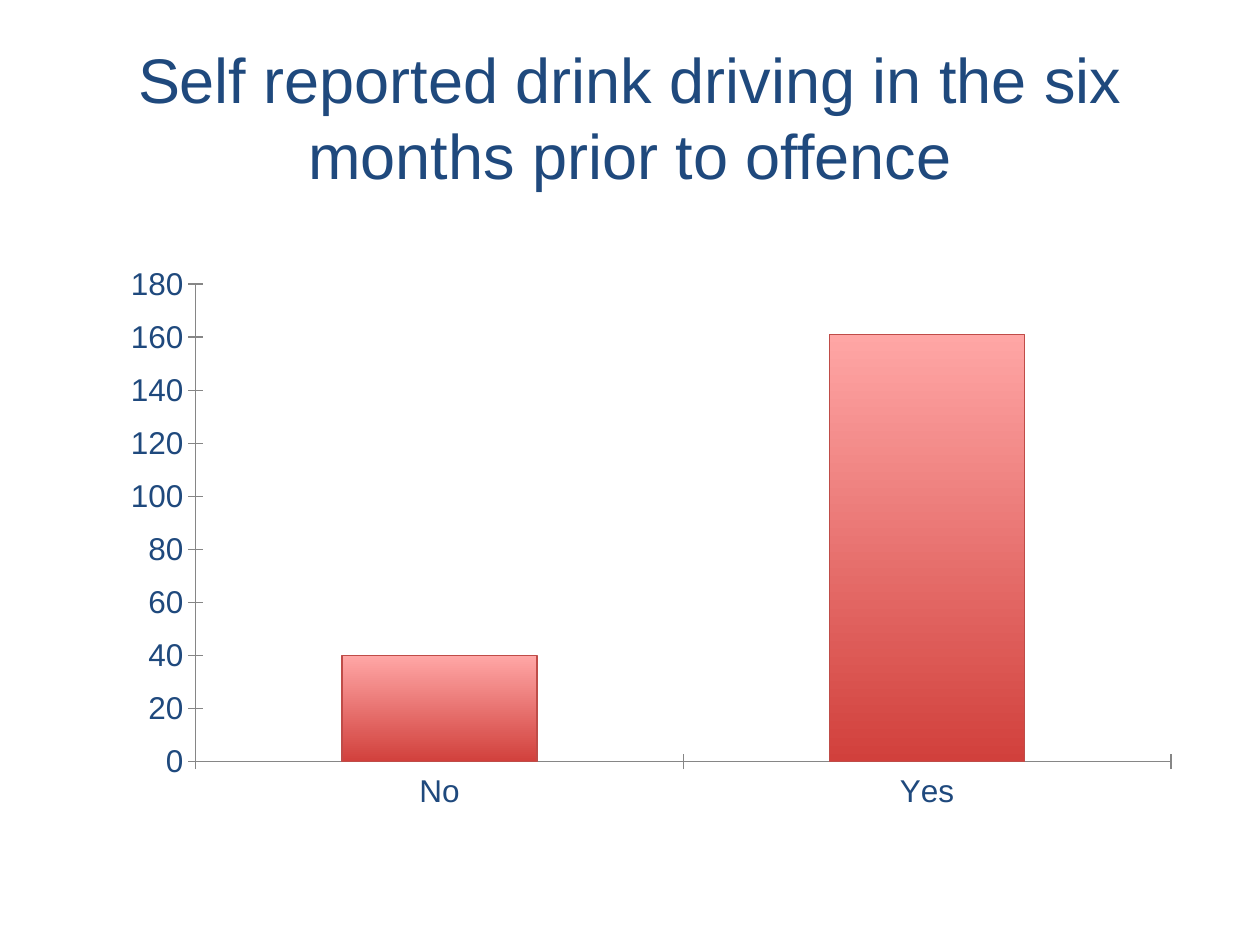
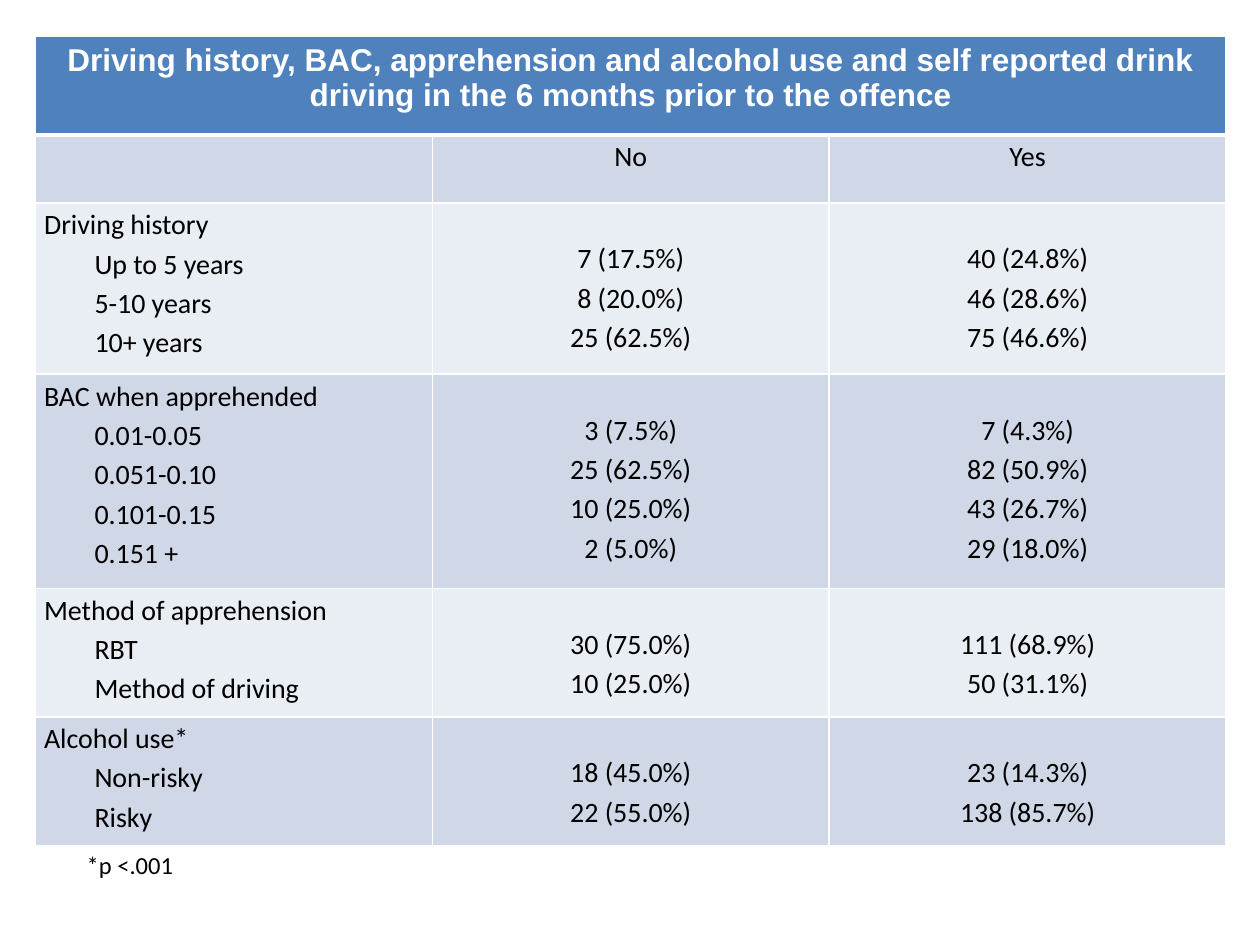
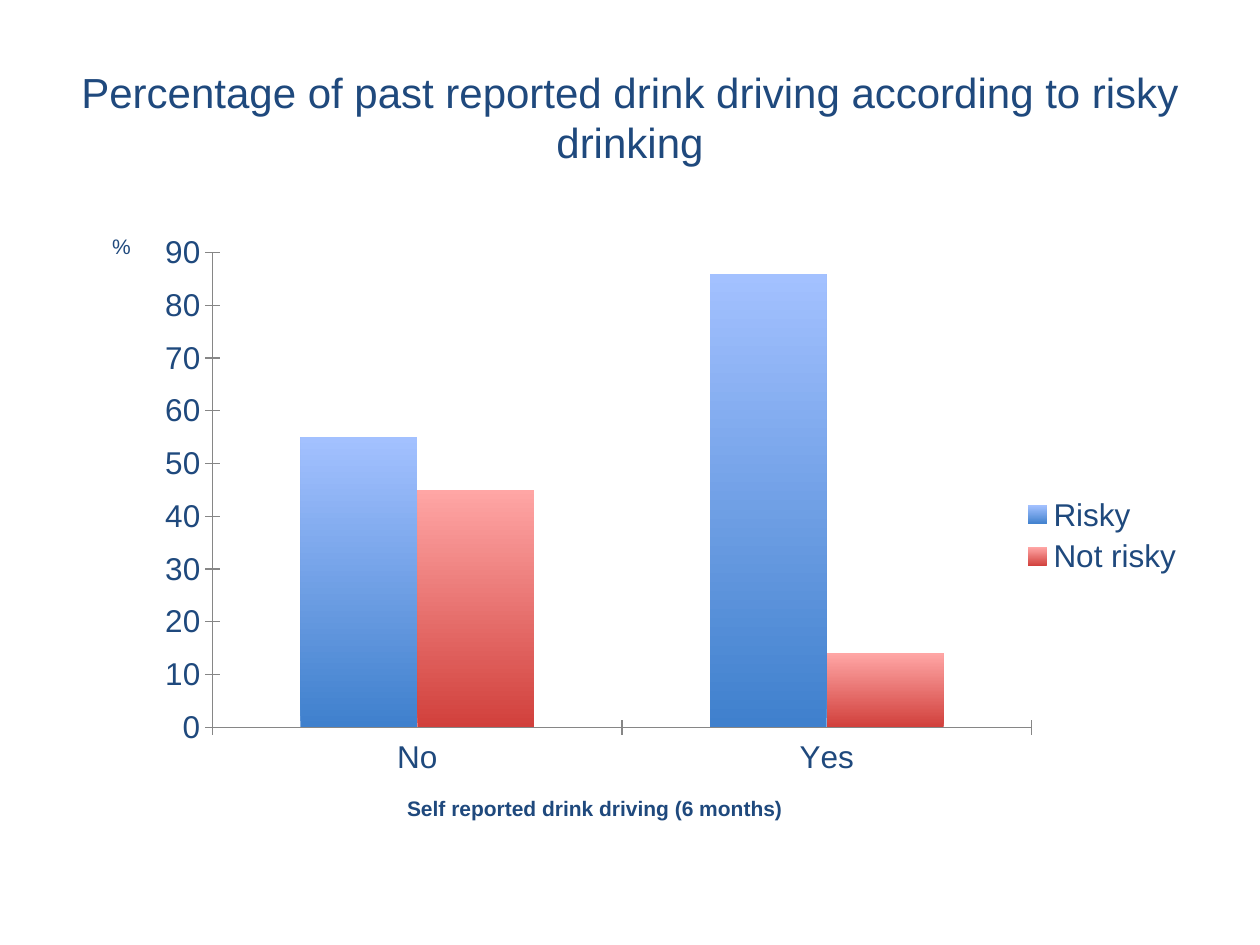
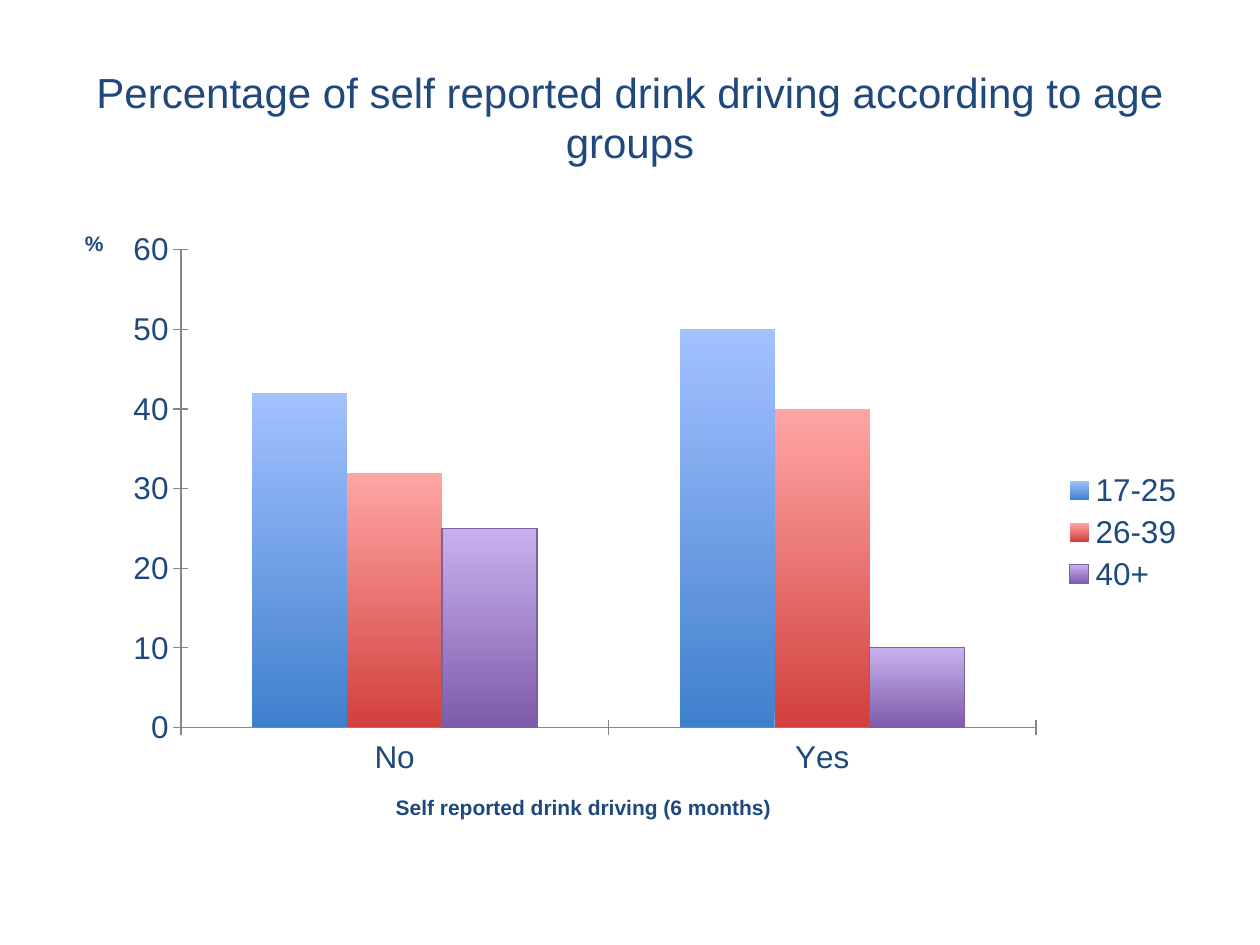
from dataclasses import dataclass

from lxml.etree import SubElement
from pptx import Presentation
from pptx.chart.data import CategoryChartData
from pptx.dml.color import RGBColor as RGB
from pptx.enum.chart import XL_CHART_TYPE as ChartType
from pptx.enum.chart import XL_LEGEND_POSITION as LegendPos
from pptx.enum.chart import XL_TICK_MARK as Tick
from pptx.enum.text import MSO_ANCHOR as Anchor
from pptx.enum.text import PP_ALIGN as Align
from pptx.oxml.ns import qn
from pptx.util import Pt

# ---- Content ----
ANSWERS = ["No", "Yes"]
HISTORY_AXIS = "Self reported drink driving (6 months)"

# Series: name, values, gradient name, outlined.
# Layout values are fractions of the chart: plot is x, y, w, h; titles are x, y.
OFFENCE = dict(
    title="Self reported drink driving in the six months prior to offence",
    title_size=36, top=126, number_format="###0", maximum=180, step=20,
    series=[("Series 1", (40, 161), "red", True)],
    plot=(0.117, 0.102, 0.86, 0.766),
)
RISK = dict(
    title="Percentage of past reported drink driving according to risky drinking",
    title_size=24, top=128, number_format="General", maximum=90, step=10,
    series=[("Risky", (55, 86), "blue", False),
            ("Not risky", (45, 14), "red", False)],
    plot=(0.132, 0.046, 0.722, 0.761),
    axis_titles=dict(category=(HISTORY_AXIS, True, (0.3, 0.91)),
                     value=("%", False, (0.04, 0.01))),
)
AGE = dict(
    title="Percentage of self reported drink driving according to age groups",
    title_size=24, top=126, number_format="General", maximum=60, step=10,
    series=[("17-25", (42, 50), "blue", False),
            ("26-39", (32, 40), "red", False),
            ("40+", (25, 10), "purple", True)],
    plot=(0.104, 0.047, 0.754, 0.766),
    axis_titles=dict(category=(HISTORY_AXIS, True, (0.29, 0.915)),
                     value=("%", True, (0.016, 0.01))),
)

TABLE_TITLE = ("Driving history, BAC, apprehension and alcohol use and self "
               "reported drink driving in the 6 months prior to the offence")
FOOTNOTE = "*p <.001"
GROUPS = [
    ("Driving history", [
        ("Up to 5 years", "7 (17.5%)", "40 (24.8%)"),
        ("5-10 years", "8 (20.0%)", "46 (28.6%)"),
        ("10+ years", "25 (62.5%)", "75 (46.6%)")]),
    ("BAC when apprehended", [
        ("0.01-0.05", "3 (7.5%)", "7 (4.3%)"),
        ("0.051-0.10", "25 (62.5%)", "82 (50.9%)"),
        ("0.101-0.15", "10 (25.0%)", "43 (26.7%)"),
        ("0.151 +", "2 (5.0%)", "29 (18.0%)")]),
    ("Method of apprehension", [
        ("RBT", "30 (75.0%)", "111 (68.9%)"),
        ("Method of driving", "10 (25.0%)", "50 (31.1%)")]),
    ("Alcohol use*", [
        ("Non-risky", "18 (45.0%)", "23 (14.3%)"),
        ("Risky", "22 (55.0%)", "138 (85.7%)")]),
]
ROW_HEIGHTS = [56.2, 38.9, 97.9, 122.4, 73.4, 73.4]
COLUMN_WIDTH = 226.8


@dataclass(frozen=True)
class Theme:
    navy: str = "1F497D"
    white: str = "FFFFFF"
    black: str = "000000"
    header: str = "4F81BD"
    bands: tuple = ("D0D8E8", "E9EDF4")
    axis: str = "868686"
    heading_font: str = "Arial"
    body_font: str = "Calibri"
    chart_size: int = 18
    axis_title_size: int = 12
    header_size: int = 18
    cell_size: int = 16
    note_size: int = 14


T = Theme()
# Bottom colour, top colour, outline
GRADIENTS = dict(
    red=("D1403C", "FFA6A5", "BF4C48"),
    blue=("3F80CD", "A3C1FF", "4A7EBB"),
    purple=("7F5BAB", "C8B0ED", "7D60A0"),
)


# ---- Text ----
def style(font, size, color, name, bold=False):
    font.size, font.name, font.bold = Pt(size), name, bold
    font.color.rgb = RGB.from_string(color)


def write(tf, lines, size, color, name, bold=False, align=Align.LEFT):
    tf.text = "\n".join(lines)
    for p in tf.paragraphs:
        p.alignment = align
        for r in p.runs:
            style(r.font, size, color, name, bold)


def add_text(slide, box, text, size, color, name, **options):
    tf = slide.shapes.add_textbox(*map(Pt, box)).text_frame
    tf.word_wrap = True
    write(tf, [text], size, color, name, **options)
    return tf


# ---- Charts ----
def place(parent, index, target, **values):
    """Give a plot area or an axis title a fixed place in the chart."""
    for old in parent.findall(qn("c:layout")):
        parent.remove(old)
    layout = parent.makeelement(qn("c:layout"))
    parent.insert(index, layout)
    manual = SubElement(layout, qn("c:manualLayout"))
    modes = dict(xMode="edge", yMode="edge")
    if target:
        modes = dict(layoutTarget=target, **modes)
    for tag, value in {**modes, **values}.items():
        SubElement(manual, qn(f"c:{tag}")).set("val", str(value))


def title_axis(axis, text, bold, at):
    title = axis.axis_title
    tf = title.text_frame
    write(tf, [text], T.axis_title_size, T.navy, T.heading_font, bold,
          Align.CENTER)
    tf._txBody.find(qn("a:bodyPr")).set("rot", "0")
    place(title.element, 1, None, x=at[0], y=at[1])


def paint(series, gradient, outlined):
    bottom, top, outline = GRADIENTS[gradient]
    fill = series.format.fill
    fill.gradient()
    fill.gradient_angle = 90
    for stop, color in zip(fill.gradient_stops, (bottom, top)):
        stop.color.rgb = RGB.from_string(color)
    line = series.format.line
    if outlined:
        line.color.rgb = RGB.from_string(outline)
        line.width = Pt(0.75)
    else:
        line.fill.background()


def chart_slide(slide, c):
    tf = add_text(slide, (36, 21.6, 648, 90), c["title"], c["title_size"],
                  T.navy, T.heading_font, align=Align.CENTER)
    tf.vertical_anchor = Anchor.MIDDLE

    data = CategoryChartData()
    data.categories = ANSWERS
    for name, values, *_ in c["series"]:
        data.add_series(name, values)
    box = map(Pt, (36, c["top"], 648, 356.4))
    chart = slide.shapes.add_chart(ChartType.COLUMN_CLUSTERED, *box, data).chart
    style(chart.font, T.chart_size, T.navy, T.heading_font)
    chart.has_title = False
    chart.has_legend = len(c["series"]) > 1
    if chart.has_legend:
        chart.legend.position = LegendPos.RIGHT
        chart.legend.include_in_layout = False

    plot = chart.plots[0]
    plot.gap_width, plot.overlap, plot.vary_by_categories = 150, 0, False
    for series, (_, _, gradient, outlined) in zip(plot.series, c["series"]):
        paint(series, gradient, outlined)

    axes = dict(category=chart.category_axis, value=chart.value_axis)
    for axis in axes.values():
        axis.has_major_gridlines = False
        axis.major_tick_mark = Tick.CROSS
        axis.format.line.color.rgb = RGB.from_string(T.axis)
        axis.format.line.width = Pt(0.75)
    value = axes["value"]
    value.minimum_scale, value.maximum_scale = 0, c["maximum"]
    value.major_unit = c["step"]
    value.tick_labels.number_format = c["number_format"]
    value.tick_labels.number_format_is_linked = False
    for kind, title in c.get("axis_titles", {}).items():
        title_axis(axes[kind], *title)
    area = chart.element.find(f".//{qn('c:plotArea')}")
    place(area, 0, "inner", **dict(zip("xywh", c["plot"])))


# ---- Table ----
def border(cell, bottom):
    """Draw white cell edges, 1 pt except for the bottom one."""
    props = cell._tc.get_or_add_tcPr()
    for i, (side, width) in enumerate(dict(L=1, R=1, T=1, B=bottom).items()):
        line = props.makeelement(qn(f"a:ln{side}"), {"w": str(Pt(width))})
        fill = SubElement(line, qn("a:solidFill"))
        SubElement(fill, qn("a:srgbClr")).set("val", T.white)
        props.insert(i, line)


def fill_cell(cell, lines, align, top=0):
    cell.margin_left = cell.margin_right = Pt(5)
    cell.margin_top, cell.margin_bottom = Pt(top), 0
    write(cell.text_frame, lines, T.cell_size, T.black, T.body_font,
          align=align)
    for p in cell.text_frame.paragraphs:
        p.line_spacing = 1.15


def table_slide(slide):
    rows, columns = len(ROW_HEIGHTS), 1 + len(ANSWERS)
    box = map(Pt, (20.2, 20.9, columns * COLUMN_WIDTH, sum(ROW_HEIGHTS)))
    table = slide.shapes.add_table(rows, columns, *box).table
    for column in table.columns:
        column.width = Pt(COLUMN_WIDTH)
    for i, height in enumerate(ROW_HEIGHTS):
        table.rows[i].height = Pt(height)
        for cell in table.rows[i].cells:
            cell.fill.solid()
            color = T.bands[(i - 1) % 2] if i else T.header
            cell.fill.fore_color.rgb = RGB.from_string(color)
            border(cell, bottom=1 if i else 3)

    header = table.cell(0, 0)
    header.merge(table.cell(0, columns - 1))
    write(header.text_frame, [TABLE_TITLE], T.header_size, T.white,
          T.heading_font, bold=True, align=Align.CENTER)
    for j, answer in enumerate(ANSWERS, 1):
        fill_cell(table.cell(1, j), [answer], Align.CENTER)

    for i, (group, entries) in enumerate(GROUPS, 2):
        labels, *counts = zip(*entries)
        cell = table.cell(i, 0)
        fill_cell(cell, [group, *labels], Align.LEFT)
        for p in cell.text_frame.paragraphs[1:]:
            p._p.get_or_add_pPr().set("marL", str(Pt(28.8)))
        for j, column in enumerate(counts, 1):
            fill_cell(table.cell(i, j), column, Align.CENTER, top=19.5)

    add_text(slide, (42.5, 482.4, 254.9, 24.5), FOOTNOTE, T.note_size,
             T.black, T.body_font)


def main():
    prs = Presentation()
    prs.slide_width, prs.slide_height = Pt(720), Pt(540)
    blank = prs.slide_layouts[6]
    chart_slide(prs.slides.add_slide(blank), OFFENCE)
    table_slide(prs.slides.add_slide(blank))
    for content in (RISK, AGE):
        chart_slide(prs.slides.add_slide(blank), content)
    prs.save("out.pptx")


if __name__ == "__main__":
    main()
